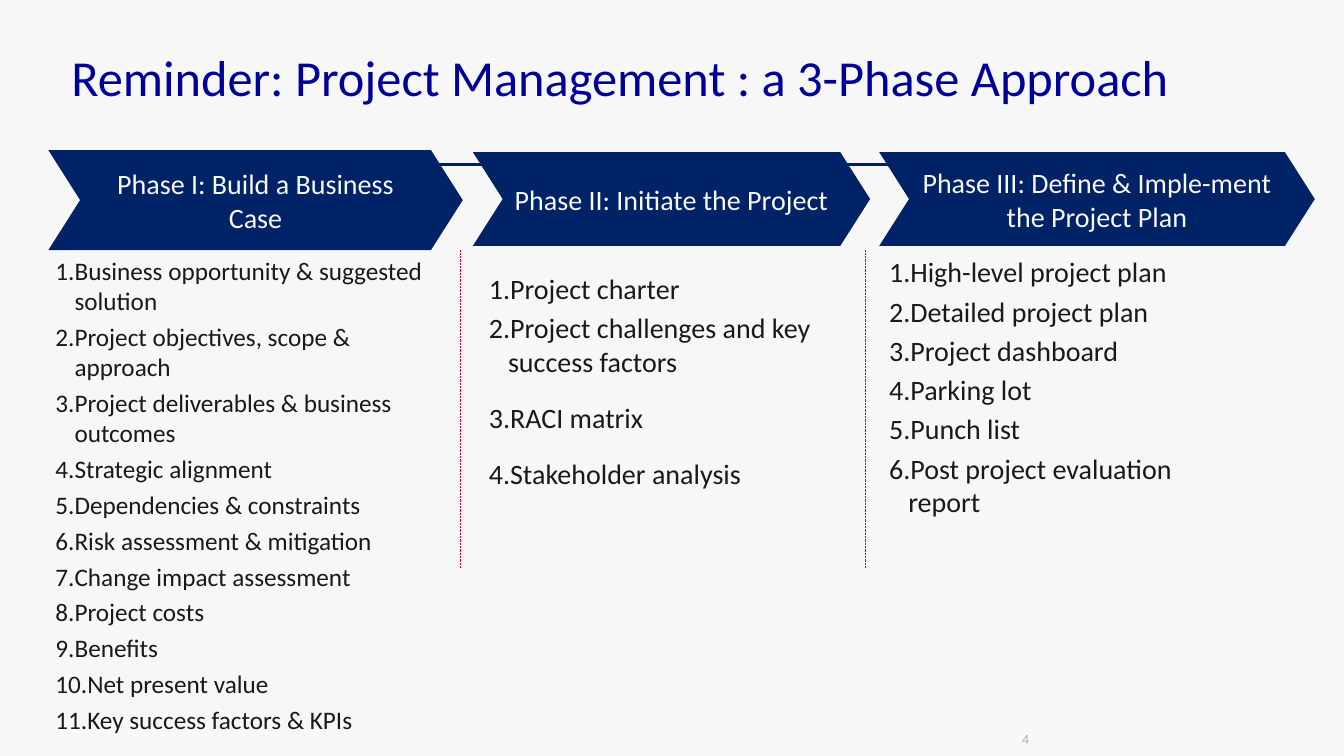
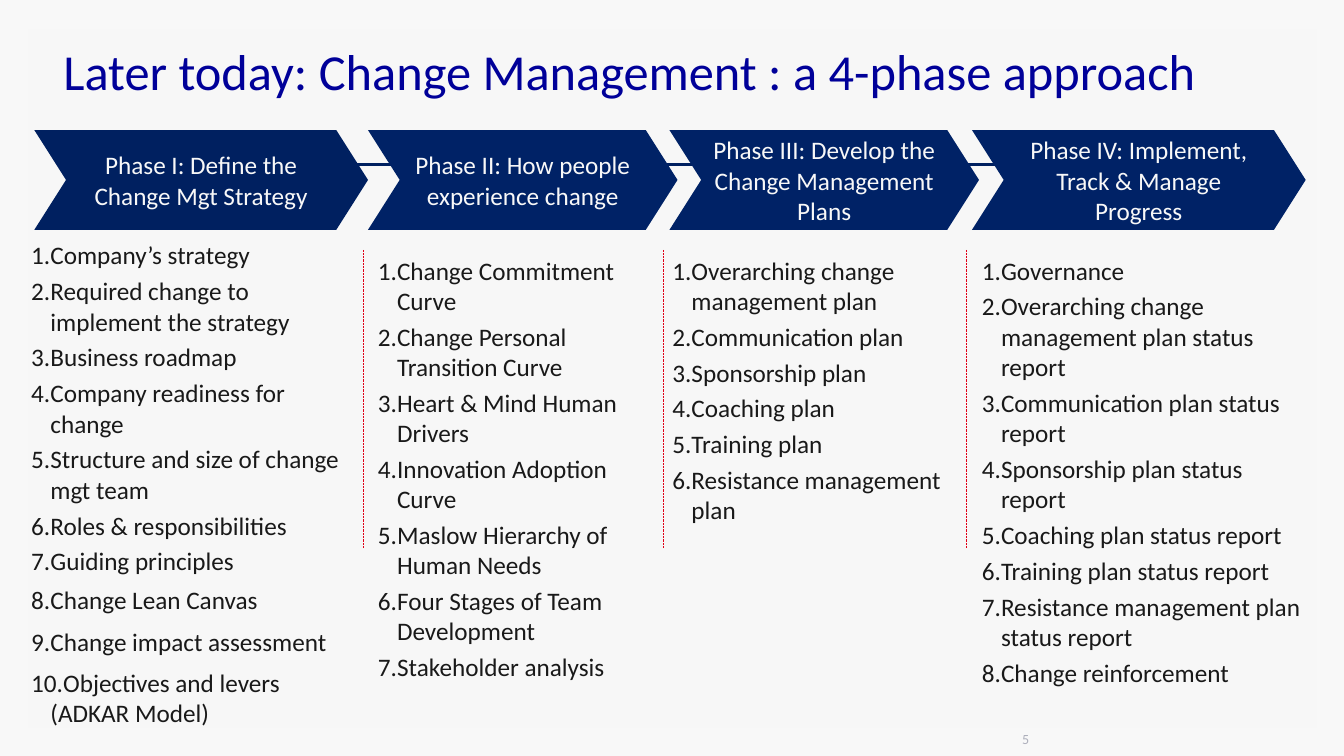
from dataclasses import dataclass

from lxml.etree import SubElement
from pptx import Presentation
from pptx.dml.color import RGBColor
from pptx.enum.dml import MSO_LINE
from pptx.enum.shapes import MSO_CONNECTOR, MSO_SHAPE
from pptx.enum.text import MSO_ANCHOR, PP_ALIGN
from pptx.oxml.ns import qn
from pptx.util import Inches, Pt


@dataclass(frozen=True)
class Theme:
    font: str = "Calibri"
    background: str = "F8F8F8"
    panel: str = "F7F7F7"
    rule: str = "002060"
    chevron: str = "002266"
    separator: str = "E00016"
    title: str = "000099"
    heading: str = "F8F8F8"
    body: str = "191919"
    page_number: str = "ADAFBB"
    title_size: int = 36
    page_number_size: int = 10


@dataclass
class Phase:
    heading: str
    chevron_box: tuple
    list_box: tuple
    items: list
    left_inset: float = 0.1
    fill: str = Theme.chevron
    wide_gaps: tuple = ()
    tall_lines: tuple = ()


class Deck:
    def __init__(self, theme):
        self.theme = theme
        self.presentation = Presentation()
        self.presentation.slide_width = Inches(13.33)
        self.presentation.slide_height = Inches(7.5)
        self.slide = None

    def new_slide(self, title, title_at, number):
        theme = self.theme
        self.slide = self.presentation.slides.add_slide(self.presentation.slide_layouts[6])
        backdrop = self.slide.background.fill
        backdrop.solid()
        backdrop.fore_color.rgb = RGBColor.from_string(theme.background)
        self.shape(MSO_SHAPE.RECTANGLE, (0.28, 0.29, 12.78, 6.93), theme.panel)
        self.line((0.66, 1.63), (12.67, 1.63), theme.rule, 2)
        heading = self.text_frame((*title_at, 12.11, 1.19), anchor=MSO_ANCHOR.MIDDLE)
        self.run(heading.paragraphs[0], title, theme.title_size, theme.title)
        footer = self.text_frame((10.04, 7.25, 3, 0.21), (0.1, 0, 0, 0.05), MSO_ANCHOR.MIDDLE)
        self.run(footer.paragraphs[0], str(number), theme.page_number_size, theme.page_number)

    def shape(self, kind, box, fill):
        shape = self.slide.shapes.add_shape(kind, *map(Inches, box))
        shape.shadow.inherit = False
        shape.fill.solid()
        shape.fill.fore_color.rgb = RGBColor.from_string(fill)
        shape.line.fill.background()
        return shape

    def line(self, start, end, color, width, dash=None):
        connector = self.slide.shapes.add_connector(
            MSO_CONNECTOR.STRAIGHT, *map(Inches, (*start, *end)))
        connector.line.color.rgb = RGBColor.from_string(color)
        connector.line.width = Pt(width)
        if dash:
            connector.line.dash_style = dash
        SubElement(connector._element.spPr, qn("a:effectLst"))

    def text_frame(self, box, insets=(0.1, 0.05, 0.1, 0.05), anchor=MSO_ANCHOR.TOP):
        frame = self.slide.shapes.add_textbox(*map(Inches, box)).text_frame
        self.set_frame(frame, insets, anchor)
        return frame

    def set_frame(self, frame, insets, anchor):
        frame.word_wrap = True
        frame.vertical_anchor = anchor
        (frame.margin_left, frame.margin_top,
         frame.margin_right, frame.margin_bottom) = map(Inches, insets)

    def run(self, paragraph, text, size, color):
        run = paragraph.add_run()
        run.text = text
        run.font.name = self.theme.font
        run.font.size = Pt(size)
        run.font.color.rgb = RGBColor.from_string(color)

    def chevron(self, phase, size):
        chevron = self.shape(MSO_SHAPE.CHEVRON, phase.chevron_box, phase.fill)
        chevron.adjustments[0] = 0.318
        self.set_frame(chevron.text_frame, (0.08, 0.05, 0.08, 0.05), MSO_ANCHOR.MIDDLE)
        paragraph = chevron.text_frame.paragraphs[0]
        paragraph.alignment = PP_ALIGN.CENTER
        paragraph.space_before = paragraph.space_after = Pt(6)
        self.run(paragraph, phase.heading, size, self.theme.heading)

    def numbered_list(self, phase, size):
        frame = self.text_frame(phase.list_box, (phase.left_inset, 0.05, 0.1, 0.05))
        for index, item in enumerate(phase.items):
            paragraph = frame.add_paragraph() if index else frame.paragraphs[0]
            gap = Pt(4 if index in phase.wide_gaps else 2)
            paragraph.space_before = paragraph.space_after = gap
            if index in phase.tall_lines:
                paragraph.line_spacing = 1.5
            properties = paragraph._p.get_or_add_pPr()
            properties.set("marL", str(Inches(0.19)))
            properties.set("indent", str(-Inches(0.19)))
            SubElement(properties, qn("a:buAutoNum"), type="arabicPeriod")
            self.run(paragraph, item, size, self.theme.body)

    def phases(self, phases, heading_size, list_sizes, separators, separator_end):
        for phase, list_size in zip(phases, list_sizes):
            self.chevron(phase, heading_size)
            self.numbered_list(phase, list_size)
        for x in separators:
            self.line((x, 2.48), (x, separator_end), self.theme.separator, 0.5,
                      MSO_LINE.ROUND_DOT)


PROJECT_PHASES = [
    Phase("Phase I: Build a Business Case", (0.48, 1.49, 4.11, 0.99), (0.55, 2.48, 3.9, 4.9), [
        "Business opportunity & suggested solution",
        "Project objectives, scope & approach",
        "Project deliverables & business outcomes",
        "Strategic alignment",
        "Dependencies & constraints",
        "Risk assessment & mitigation",
        "Change impact assessment",
        "Project costs",
        "Benefits",
        "Net present value",
        "Key success factors & KPIs",
    ], left_inset=0),
    Phase("Phase II: Initiate the Project", (4.69, 1.51, 3.94, 0.93), (4.75, 2.48, 3.71, 3.42), [
        "Project charter",
        "Project challenges and key success factors",
        "RACI matrix",
        "Stakeholder analysis",
    ], tall_lines=(0, 2, 3)),
    Phase("Phase III: Define & Imple-ment the Project Plan",
          (8.72, 1.51, 4.32, 0.93), (8.72, 2.48, 3.77, 3.22), [
              "High-level project plan",
              "Detailed project plan",
              "Project dashboard",
              "Parking lot",
              "Punch list",
              "Post project evaluation report",
          ]),
]

CHANGE_PHASES = [
    Phase("Phase I: Define the Change Mgt Strategy",
          (0.34, 1.29, 3.31, 0.99), (0.31, 2.33, 3.31, 5.1), [
              "Company’s strategy",
              "Required change to implement the strategy",
              "Business roadmap",
              "Company readiness for change",
              "Structure and size of change mgt team",
              "Roles & responsibilities",
              "Guiding principles",
              "Change Lean Canvas",
              "Change impact assessment",
              "Objectives and levers (ADKAR Model)",
          ], left_inset=0, fill=Theme.rule, wide_gaps=(7, 8, 9)),
    Phase("Phase II: How people experience change",
          (3.65, 1.29, 3.07, 0.99), (3.65, 2.48, 2.96, 4.9), [
              "Change Commitment Curve",
              "Change Personal Transition Curve",
              "Heart & Mind Human Drivers",
              "Innovation Adoption Curve",
              "Maslow Hierarchy of Human Needs",
              "Four Stages of Team Development",
              "Stakeholder analysis",
          ]),
    Phase("Phase III: Develop the Change Management Plans",
          (6.64, 1.29, 3.07, 0.99), (6.57, 2.48, 2.96, 2.8), [
              "Overarching change management plan",
              "Communication plan",
              "Sponsorship plan",
              "Coaching plan",
              "Training plan",
              "Resistance management plan",
          ]),
    Phase("Phase IV: Implement, Track & Manage Progress",
          (9.64, 1.29, 3.31, 0.99), (9.64, 2.48, 3.4, 4.73), [
              "Governance",
              "Overarching change management plan status report",
              "Communication plan status report",
              "Sponsorship plan status report",
              "Coaching plan status report",
              "Training plan status report",
              "Resistance management plan status report",
              "Change reinforcement",
          ]),
]


def main():
    deck = Deck(Theme())
    deck.new_slide("Reminder: Project Management : a 3-Phase Approach", (0.61, 0.16), 4)
    deck.phases(PROJECT_PHASES, 20, (18, 20, 20), (4.57, 8.58), 5.63)
    deck.new_slide("Later today: Change Management : a 4-phase approach", (0.53, 0.1), 5)
    deck.phases(CHANGE_PHASES, 18, (18,) * 4, (3.6, 6.58, 9.58), 5.43)
    deck.presentation.save("out.pptx")


if __name__ == "__main__":
    main()
